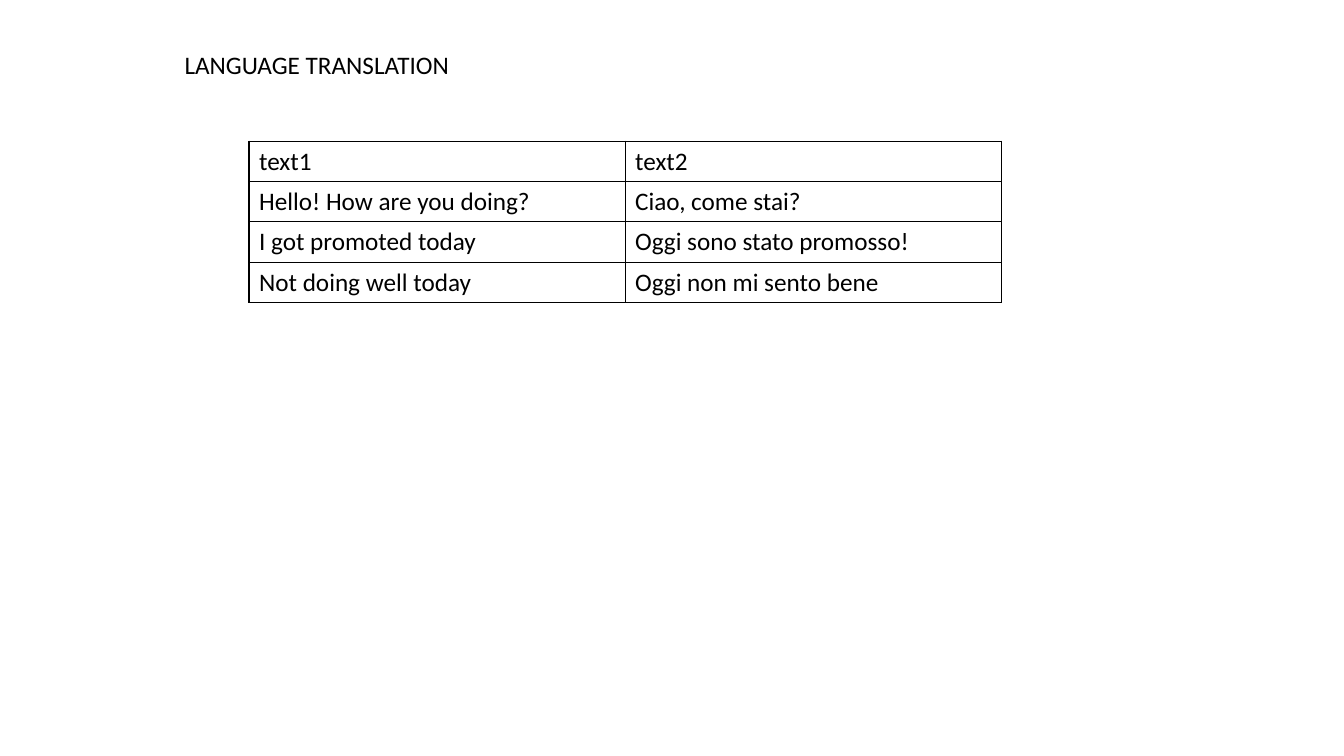
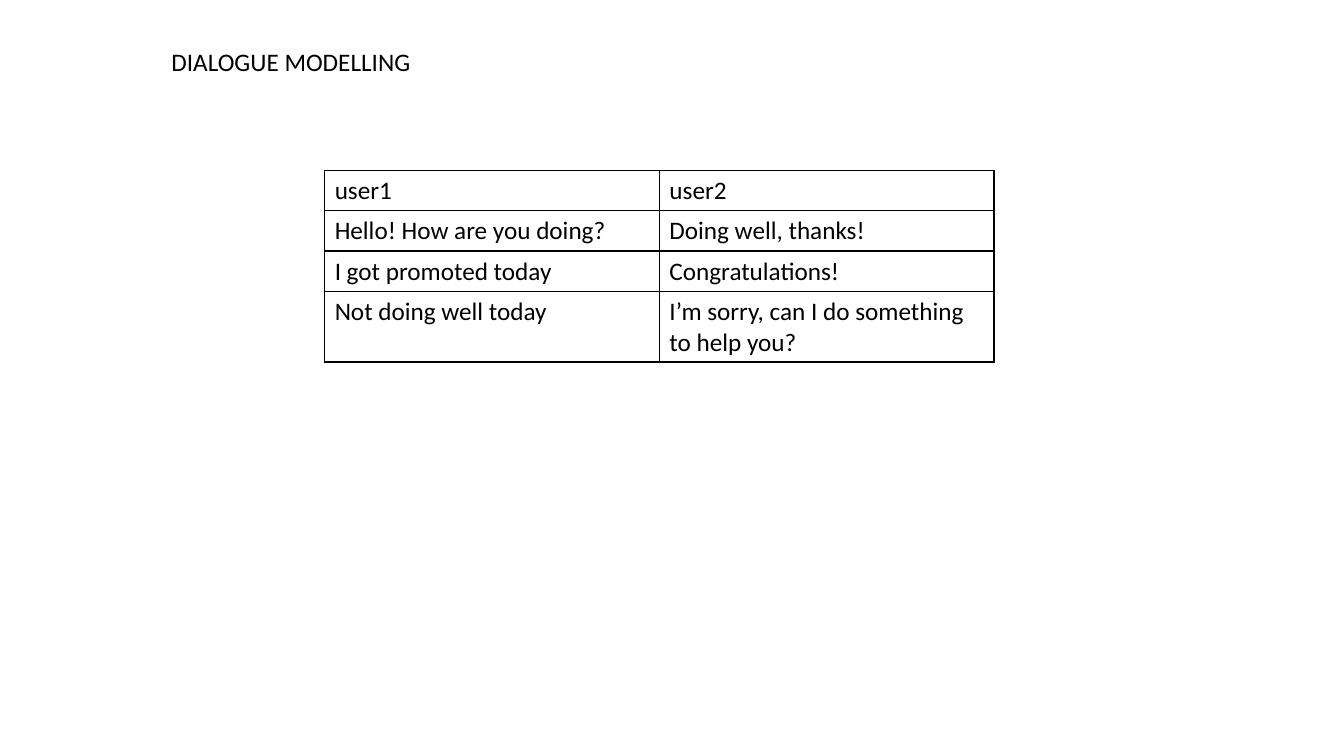
from lxml.etree import SubElement
from pptx import Presentation
from pptx.dml.color import RGBColor
from pptx.enum.text import MSO_ANCHOR, MSO_AUTO_SIZE, PP_ALIGN
from pptx.oxml.ns import qn
from pptx.util import Inches, Pt

# Shared style
BLACK = "000000"
FONT = "Calibri"
TEXT_SIZE = 18
BORDER_WIDTH = 1
ROW_HEIGHT = 0.4
TITLE_HEIGHT = 0.4


def set_font(para):
    para.font.name = FONT
    para.font.size = Pt(TEXT_SIZE)
    para.font.bold = False
    para.font.color.rgb = RGBColor.from_string(BLACK)


def add_borders(cell):
    properties = cell._tc.get_or_add_tcPr()
    for side in ("a:lnL", "a:lnR", "a:lnT", "a:lnB"):
        line = SubElement(properties, qn(side), w=str(Pt(BORDER_WIDTH)))
        fill = SubElement(line, qn("a:solidFill"))
        SubElement(fill, qn("a:srgbClr"), val=BLACK)


# Content: title, its left, top and width, table left and top, column width, rows
slides = [
    ("LANGUAGE TRANSLATION", (1.73, 0.44, 8.74), (2.47, 1.4), 3.73, [
        ("text1", "text2"),
        ("Hello! How are you doing?", "Ciao, come stai?"),
        ("I got promoted today", "Oggi sono stato promosso!"),
        ("Not doing well today", "Oggi non mi sento bene"),
    ]),
    ("DIALOGUE MODELLING", (1.6, 0.41, 9.32), (3.22, 1.69), 3.32, [
        ("user1", "user2"),
        ("Hello! How are you doing?", "Doing well, thanks!"),
        ("I got promoted today", "Congratulations!"),
        ("Not doing well today", "I’m sorry, can I do something to help you?"),
    ]),
]

deck = Presentation()
deck.slide_width = Inches(13.33)
deck.slide_height = Inches(7.5)
title_only = deck.slide_layouts[5]

for heading, title_place, table_place, column_width, rows in slides:
    page = deck.slides.add_slide(title_only)

    # Title
    title = page.shapes.title
    title.left, title.top, title.width = (Inches(value) for value in title_place)
    title.height = Inches(TITLE_HEIGHT)
    frame = title.text_frame
    frame.text = heading
    frame.word_wrap = True
    frame.auto_size = MSO_AUTO_SIZE.SHAPE_TO_FIT_TEXT
    frame.vertical_anchor = MSO_ANCHOR.TOP
    frame.paragraphs[0].alignment = PP_ALIGN.LEFT
    set_font(frame.paragraphs[0])

    # Table
    left, top = table_place
    column_count = len(rows[0])
    table = page.shapes.add_table(
        len(rows), column_count, Inches(left), Inches(top),
        Inches(column_count * column_width), Inches(len(rows) * ROW_HEIGHT),
    ).table
    table.first_row = False
    table.horz_banding = False
    for row_index, row in enumerate(rows):
        for column_index, text in enumerate(row):
            cell = table.cell(row_index, column_index)
            cell.text = text
            set_font(cell.text_frame.paragraphs[0])
            add_borders(cell)
            cell.fill.background()

deck.save("out.pptx")
